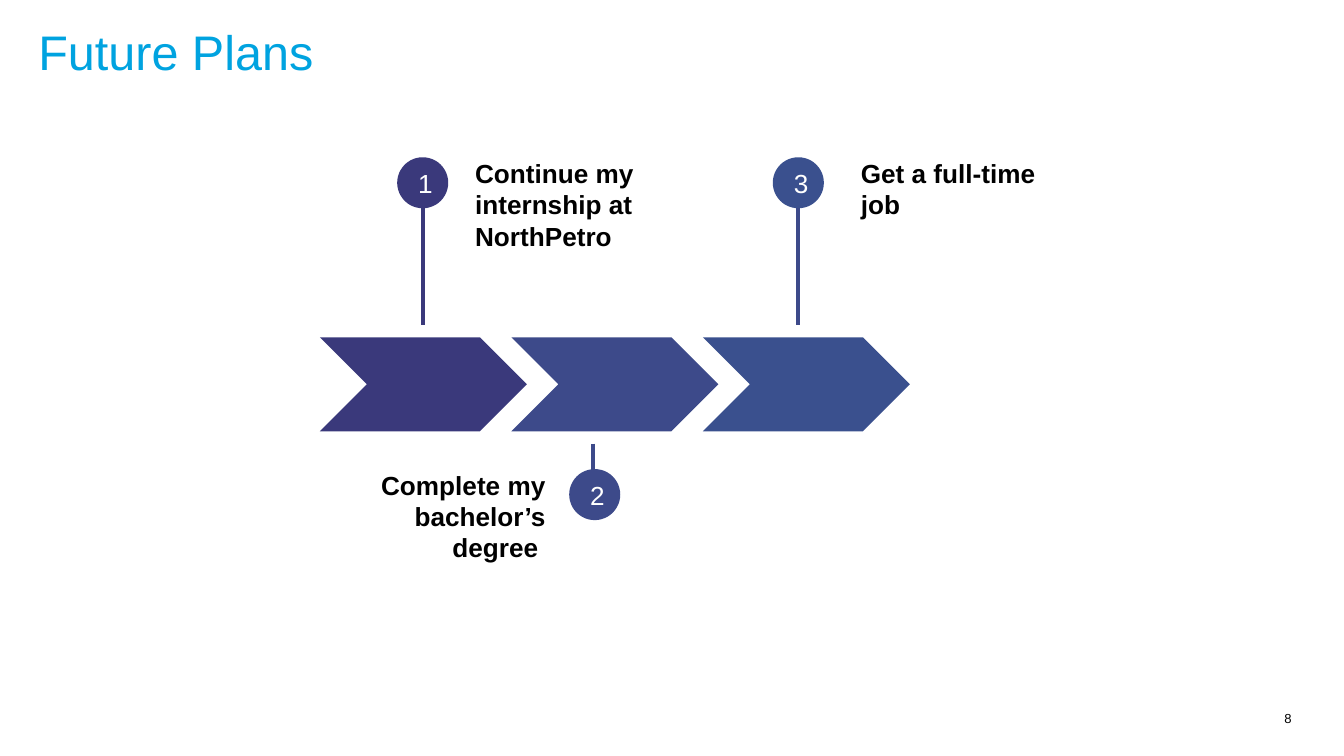
from dataclasses import dataclass

from lxml.etree import SubElement
from pptx import Presentation
from pptx.dml.color import RGBColor
from pptx.enum.shapes import MSO_CONNECTOR, MSO_SHAPE
from pptx.enum.text import MSO_ANCHOR, MSO_AUTO_SIZE, PP_ALIGN
from pptx.oxml.ns import qn
from pptx.util import Emu, Pt


@dataclass(frozen=True)
class Theme:
    """Colours, font and type sizes of the deck."""
    font: str = "Arial"
    title: str = "00A3E0"
    text: str = "000000"
    light: str = "FFFFFF"
    steps: tuple = ("3A397B", "3D4A8A", "3A508E")
    title_size: int = 26
    step_size: int = 14
    number_size: int = 7


THEME = Theme()
EMU_PER_PX = 4572
CHEVRON_LEFT, CHEVRON_PITCH = 476, 285
BADGE_SIZE = 76


def px(length):
    """Turn whole px, 200 to the inch, into EMU."""
    return Emu(length * EMU_PER_PX)


def write_text(shape, text, size=THEME.step_size, color=THEME.text, bold=False,
               align=PP_ALIGN.LEFT, anchor=MSO_ANCHOR.TOP, left_inset=0):
    """Fill a shape with one formatted paragraph."""
    frame = shape.text_frame
    frame.word_wrap = True
    frame.auto_size = MSO_AUTO_SIZE.NONE
    frame.vertical_anchor = anchor
    frame.margin_left = px(left_inset)
    frame.margin_top = frame.margin_right = frame.margin_bottom = 0
    para = frame.paragraphs[0]
    para.alignment = align
    span = para.add_run()
    span.text = text
    span.font.name = THEME.font
    span.font.size = Pt(size)
    span.font.bold = bold
    span.font.color.rgb = RGBColor.from_string(color)


def add_title(page, text):
    """Place the title in its placeholder."""
    title = page.shapes.title
    title.left, title.top, title.width, title.height = map(px, (57, 33, 1844, 124))
    write_text(title, text, size=THEME.title_size, color=THEME.title)


def add_label(page, bounds, text, **style):
    """Add a text box at the given px bounds."""
    box = page.shapes.add_textbox(*map(px, bounds))
    write_text(box, text, **style)


def add_solid(page, kind, bounds, color):
    """Add a flat filled shape without outline."""
    shape = page.shapes.add_shape(kind, *map(px, bounds))
    shape.shadow.inherit = False
    shape.fill.solid()
    shape.fill.fore_color.rgb = RGBColor.from_string(color)
    shape.line.fill.background()
    return shape


def add_stem(page, x, top, bottom, color):
    """Add the vertical line between a badge and its chevron."""
    stem = page.shapes.add_connector(
        MSO_CONNECTOR.STRAIGHT, px(x), px(top), px(x), px(bottom))
    stem.line.color.rgb = RGBColor.from_string(color)
    stem.line.width = Pt(2)
    SubElement(stem._element.spPr, qn("a:effectLst"))


def add_badge(page, left, top, number, color):
    """Add a numbered circle."""
    badge = add_solid(page, MSO_SHAPE.OVAL,
                      (left, top, BADGE_SIZE, BADGE_SIZE), color)
    write_text(badge, str(number), color=THEME.light, align=PP_ALIGN.CENTER,
               anchor=MSO_ANCHOR.MIDDLE, left_inset=8)


def add_step(page, number, badge, stem, stem_color, label, text, align):
    """Add one chevron with its stem, badge and label."""
    color = THEME.steps[number - 1]
    left = CHEVRON_LEFT + (number - 1) * CHEVRON_PITCH
    add_solid(page, MSO_SHAPE.CHEVRON, (left, 502, 308, 140), color)
    add_stem(page, *stem, stem_color)
    add_badge(page, *badge, number, color)
    add_label(page, label, text, bold=True, align=align)


def main():
    """Build and save the slide."""
    deck = Presentation()
    deck.slide_width, deck.slide_height = px(2000), px(1125)
    page = deck.slides.add_slide(deck.slide_layouts[5])
    add_title(page, "Future Plans")
    first, second, _ = THEME.steps
    steps = (
        ((591, 234), (630, 280, 484), first, (707, 234, 318, 148),
         "Continue my internship at NorthPetro", PP_ALIGN.LEFT),
        ((847, 698), (883, 660, 732), second, (502, 698, 310, 132),
         "Complete my bachelor’s degree ", PP_ALIGN.RIGHT),
        ((1150, 234), (1188, 280, 484), second, (1281, 234, 274, 114),
         "Get a full-time job", PP_ALIGN.LEFT),
    )
    for number, step in enumerate(steps, start=1):
        add_step(page, number, *step)
    add_label(page, (1858, 1058, 64, 28), "8", size=THEME.number_size,
              align=PP_ALIGN.RIGHT)
    deck.save("out.pptx")


if __name__ == "__main__":
    main()
